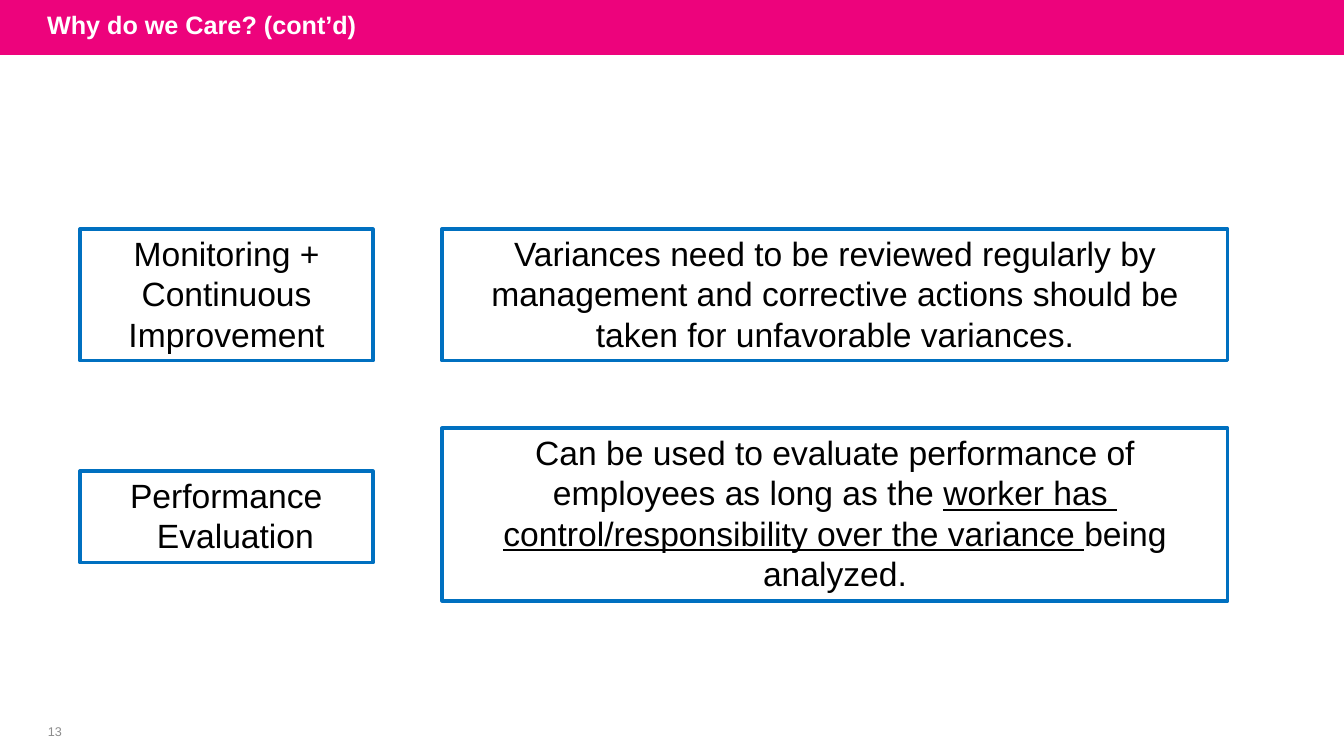
from pptx import Presentation
from pptx.dml.color import RGBColor
from pptx.enum import shapes, text
from pptx.util import Pt

PX = 914400 / 100.8


def px(*lengths):
    return [round(length * PX) for length in lengths]


def style(font, size, color, bold=False):
    values = {"name": "Arial", "size": Pt(size), "bold": bold}
    for name, value in values.items():
        setattr(font, name, value)
    font.color.rgb = RGBColor.from_string(color)


presentation = Presentation()
presentation.slide_width, presentation.slide_height = px(1344, 756)
slide = presentation.slides.add_slide(presentation.slide_layouts[5])

# Banner, kept behind the title
banner = slide.shapes.add_shape(shapes.MSO_SHAPE.RECTANGLE, *px(0, 0, 1344, 55))
banner.shadow.inherit = False
banner.fill.solid()
banner.fill.fore_color.rgb = RGBColor.from_string("ED037C")
banner.line.fill.background()
title = slide.shapes.title
title._element.addprevious(banner._element)

title.left, title.top, title.width, title.height = px(37, -3, 1058, 55)
title.text_frame.text = "Why do we Care? (cont’d)"
title.text_frame.vertical_anchor = text.MSO_ANCHOR.MIDDLE
title.text_frame.auto_size = text.MSO_AUTO_SIZE.NONE
paragraph = title.text_frame.paragraphs[0]
paragraph.alignment = text.PP_ALIGN.LEFT
style(paragraph.runs[0].font, 18, "FFFFFF", bold=True)

# Each box: place, then lines made of (words, underlined) pieces
LEFT, LEFT_WIDTH = 80, 293
RIGHT, RIGHT_WIDTH = 442, 786
boxes = [
    ((LEFT, 229, LEFT_WIDTH, 132),
     [[("Monitoring +", False)], [("Continuous", False)], [("Improvement", False)]]),
    ((RIGHT, 229, RIGHT_WIDTH, 132),
     [[("Variances need to be reviewed regularly by", False)],
      [("management and corrective actions should be", False)],
      [("taken for unfavorable variances.", False)]]),
    ((LEFT, 471, LEFT_WIDTH, 92),
     [[("Performance", False)], [("Evaluation", False)]]),
    ((RIGHT, 428, RIGHT_WIDTH, 173),
     [[("Can be used to evaluate performance of", False)],
      [("employees as long as the ", False), ("worker has ", True)],
      [("control/responsibility over the variance ", True), ("being", False)],
      [("analyzed.", False)]]),
]
for place, lines in boxes:
    box = slide.shapes.add_shape(shapes.MSO_SHAPE.RECTANGLE, *px(*place))
    box.shadow.inherit = False
    box.fill.background()
    box.line.color.rgb = RGBColor.from_string("0070C0")
    box.line.width = Pt(2.25)
    frame = box.text_frame
    frame.word_wrap = True
    frame.vertical_anchor = text.MSO_ANCHOR.TOP
    frame.margin_left, frame.margin_top, frame.margin_right, frame.margin_bottom = px(0, 4, 0, 0)
    paragraph = frame.paragraphs[0]
    paragraph.alignment = text.PP_ALIGN.CENTER
    if lines[0][0][0] == "Performance":
        paragraph.alignment = text.PP_ALIGN.LEFT
        margin, indent = px(77, -27)
        properties = paragraph._p.get_or_add_pPr()
        properties.set("marL", str(margin))
        properties.set("indent", str(indent))
    for number, line in enumerate(lines):
        if number:
            paragraph.add_line_break()
        for words, underlined in line:
            run = paragraph.add_run()
            run.text = words
            style(run.font, 24, "000000")
            run.font.underline = underlined

page_number = slide.shapes.add_textbox(*px(29, 719, 52, 24))
frame = page_number.text_frame
frame.word_wrap = True
frame.vertical_anchor = text.MSO_ANCHOR.MIDDLE
for side in ("left", "top", "right", "bottom"):
    setattr(frame, f"margin_{side}", 0)
frame.text = "13"
frame.paragraphs[0].alignment = text.PP_ALIGN.CENTER
style(frame.paragraphs[0].runs[0].font, 9, "8C8C8C")

presentation.save("out.pptx")
